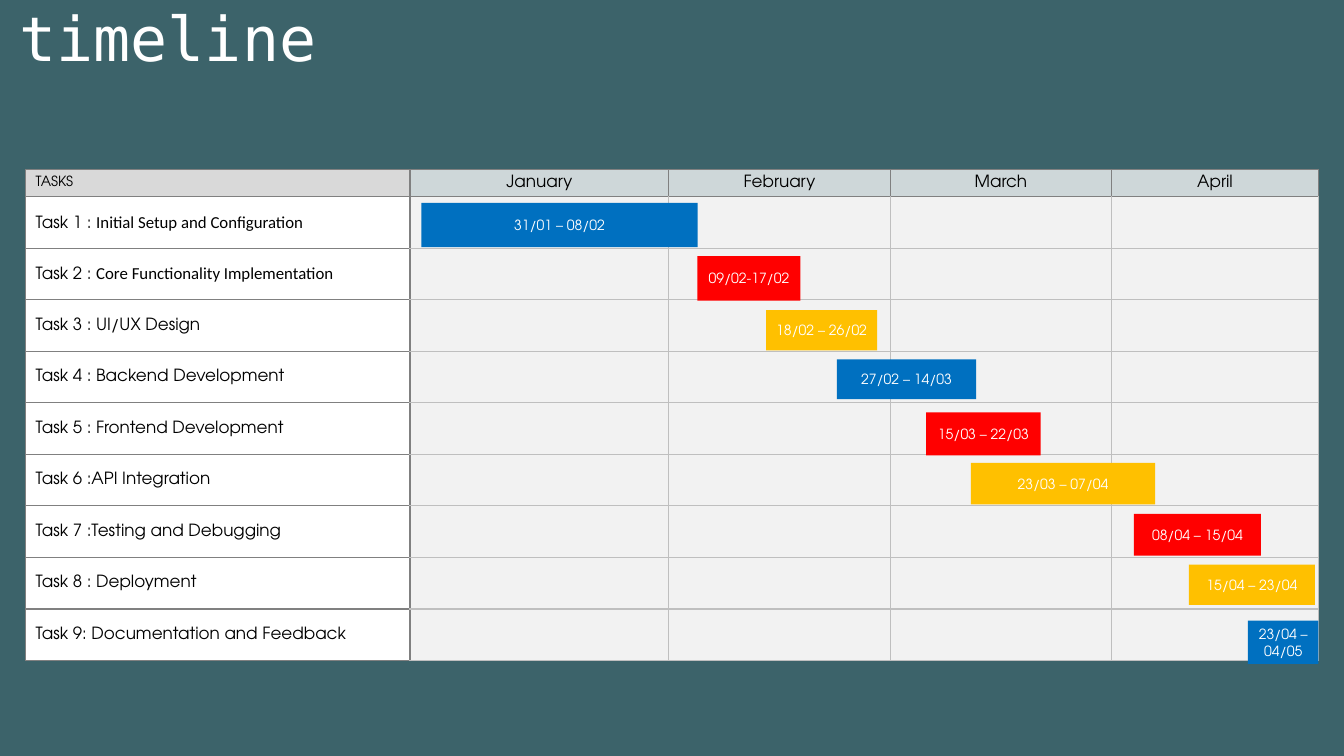
"""Build the timeline slide: a task table with dated bars across four months."""
from lxml.etree import SubElement
from pptx import Presentation
from pptx.dml.color import RGBColor
from pptx.enum.shapes import MSO_SHAPE
from pptx.enum.text import MSO_ANCHOR, PP_ALIGN
from pptx.oxml.ns import qn
from pptx.util import Pt

COLORS = {
    "teal": "3C636A", "white": "FFFFFF", "black": "000000",
    "heading": "D9D9D9", "cell": "F2F2F2", "dark": "808080", "light": "BFBFBF",
    "blue": "0070C0", "red": "FF0000", "yellow": "FFC000",
}
SANS = "TeX Gyre Adventor"


def write(frame, text, size=12, color="black", font=SANS, align=PP_ALIGN.LEFT):
    """Append a formatted span to the first paragraph of a text frame."""
    para = frame.paragraphs[0]
    para.alignment = align
    span = para.add_run()
    span.text = text
    span.font.size = Pt(size)
    span.font.name = font
    span.font.color.rgb = RGBColor.from_string(COLORS[color])


def paint_cell(cell, fill, left, right, top, bottom):
    """Set the borders and then the fill of a table cell."""
    properties = cell._tc.get_or_add_tcPr()
    for tag, color in zip(("a:lnL", "a:lnR", "a:lnT", "a:lnB"), (left, right, top, bottom)):
        line = SubElement(properties, qn(tag), w=str(Pt(1)))
        solid = SubElement(line, qn("a:solidFill"))
        SubElement(solid, qn("a:srgbClr"), val=COLORS[color])
    cell.fill.solid()
    cell.fill.fore_color.rgb = RGBColor.from_string(COLORS[fill])


deck = Presentation()
deck.slide_width, deck.slide_height = Pt(960), Pt(540)
page = deck.slides.add_slide(deck.slide_layouts[6])

backdrop = page.shapes.add_shape(MSO_SHAPE.RECTANGLE, 0, 0, Pt(960), Pt(540))
backdrop.shadow.inherit = False
backdrop.fill.solid()
backdrop.fill.fore_color.rgb = RGBColor.from_string(COLORS["teal"])
backdrop.line.fill.background()

months = ["January", "February", "March", "April"]
tasks = [
    ("Task 1 : ", "Initial Setup and Configuration"),
    ("Task 2 : ", "Core Functionality Implementation"),
    ("Task 3 : UI/UX Design", ""),
    ("Task 4 : Backend Development", ""),
    ("Task 5 : Frontend Development", ""),
    ("Task 6 :API Integration", ""),
    ("Task 7 :Testing and Debugging", ""),
    ("Task 8 : Deployment", ""),
    ("Task 9: Documentation and Feedback", ""),
]
column_widths = [274.7, 184.8, 158.2, 158.2, 147.8]
row_heights = [19.4] + [36.83] * len(tasks)

table_frame = page.shapes.add_table(
    len(row_heights), len(column_widths), Pt(18.2), Pt(121),
    Pt(sum(column_widths)), Pt(sum(row_heights)))
table = table_frame.table
for column, width in zip(table.columns, column_widths):
    column.width = Pt(width)
for row, height in zip(table.rows, row_heights):
    row.height = Pt(height)

for column_index, heading in enumerate(["TASKS"] + months):
    cell = table.cell(0, column_index)
    cell.vertical_anchor = MSO_ANCHOR.MIDDLE
    cell.margin_top = cell.margin_bottom = 0
    if column_index == 0:
        write(cell.text_frame, heading, size=10)
        paint_cell(cell, "heading", *["dark"] * 4)
    else:
        write(cell.text_frame, heading, align=PP_ALIGN.CENTER)
        paint_cell(cell, "white", *["dark"] * 4)
        fill_color = cell._tc.tcPr.find(qn("a:solidFill")).find(qn("a:srgbClr"))
        SubElement(fill_color, qn("a:alpha"), val="75000")

for row_index, (label, detail) in enumerate(tasks, start=1):
    cell = table.cell(row_index, 0)
    cell.vertical_anchor = MSO_ANCHOR.MIDDLE
    write(cell.text_frame, label)
    if detail:
        write(cell.text_frame, detail, font="Calibri")
    paint_cell(cell, "white", *["dark"] * 4)
    for column_index in range(1, len(column_widths)):
        left = "dark" if column_index == 1 else "light"
        top = "dark" if row_index == 1 else "light"
        paint_cell(table.cell(row_index, column_index), "cell", left, "light", top, "light")

bars = [
    ("31/01 – 08/02", "blue", 301, 144.9, 197.3, 31.7),
    ("09/02-17/02", "red", 498.2, 182.9, 73.6, 31.9),
    ("18/02 – 26/02", "yellow", 547.2, 221.6, 79.3, 28.8),
    ("27/02 – 14/03", "blue", 597.8, 256.8, 99.5, 28.4),
    ("15/03 – 22/03", "red", 661.5, 294.6, 81.8, 30.7),
    ("23/03 – 07/04", "yellow", 693.5, 330.7, 131.7, 29.6),
    ("08/04 – 15/04", "red", 810, 367, 90.7, 30),
    ("15/04 – 23/04", "yellow", 849.2, 403.3, 90, 28.8),
    ("23/04 – 04/05", "blue", 891.4, 443.3, 50.4, 31),
]
for dates, color, left, top, width, height in bars:
    bar = page.shapes.add_shape(
        MSO_SHAPE.RECTANGLE, Pt(left), Pt(top), Pt(width), Pt(height))
    bar.shadow.inherit = False
    bar.fill.solid()
    bar.fill.fore_color.rgb = RGBColor.from_string(COLORS[color])
    bar.line.fill.background()
    frame = bar.text_frame
    frame.word_wrap = True
    frame.vertical_anchor = MSO_ANCHOR.MIDDLE
    frame.margin_left = frame.margin_right = Pt(5)
    frame.margin_top = frame.margin_bottom = 0
    write(frame, dates, size=10, color="white", align=PP_ALIGN.CENTER)

title_box = page.shapes.add_textbox(0, 0, Pt(679), Pt(60))
title_frame = title_box.text_frame
title_frame.word_wrap = True
title_frame.margin_left = Pt(14)
title_frame.margin_top = title_frame.margin_right = title_frame.margin_bottom = 0
write(title_frame, "timeline", size=44, color="white", font="DejaVu Sans Mono")

deck.save("out.pptx")
